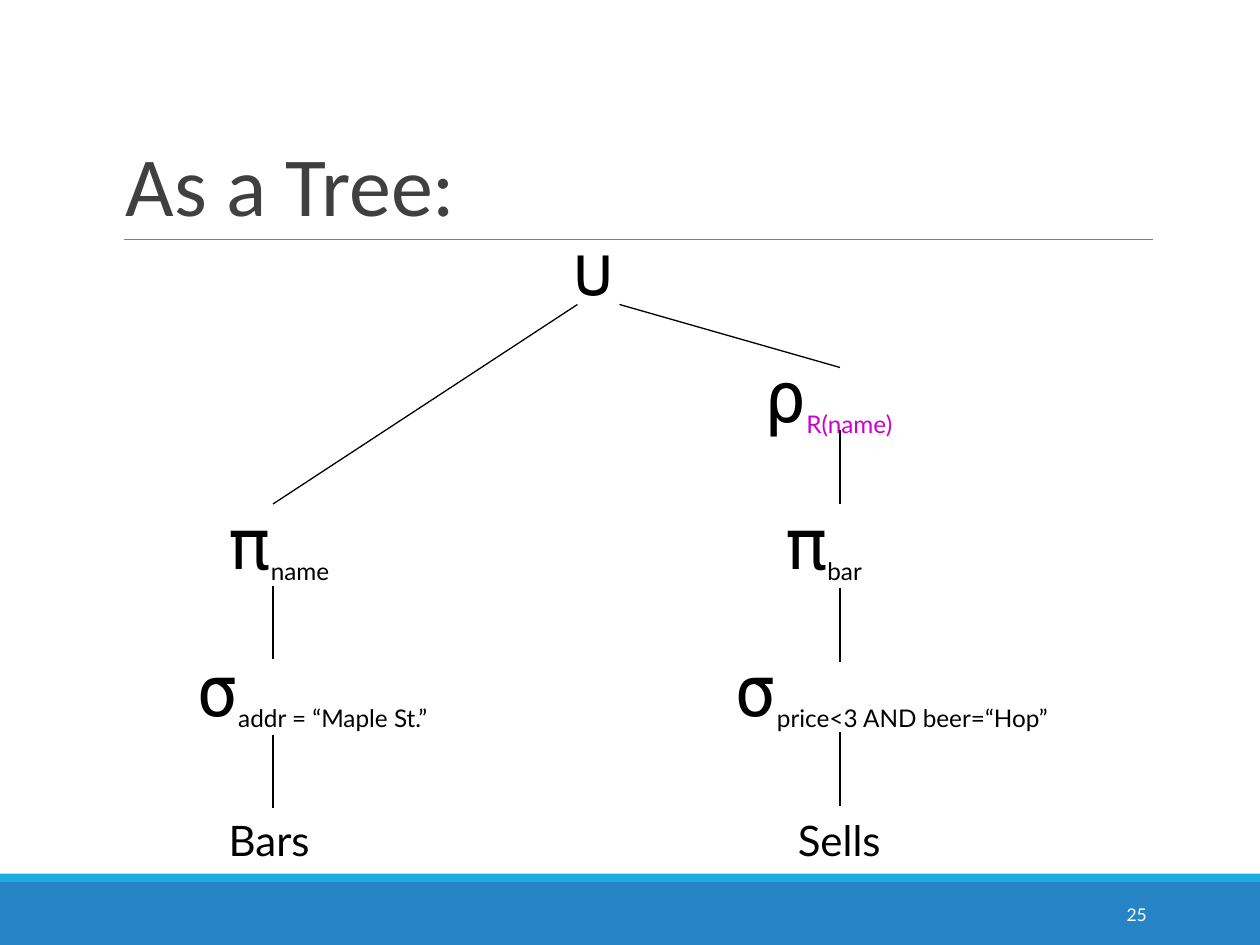
from pptx import Presentation
from pptx.dml.color import RGBColor
from pptx.enum.shapes import MSO_CONNECTOR, MSO_SHAPE
from pptx.enum.text import MSO_ANCHOR as ANCHOR, MSO_AUTO_SIZE as AUTO, PP_ALIGN as ALIGN
from pptx.oxml.ns import qn
from pptx.util import Inches, Pt
from lxml.etree import SubElement

BLACK = RGBColor(0x00, 0x00, 0x00)
WHITE = RGBColor(0xFF, 0xFF, 0xFF)
DARK = RGBColor(0x40, 0x40, 0x40)
GRAY = RGBColor(0x7F, 0x7F, 0x7F)
BLUE = RGBColor(0x26, 0x83, 0xC6)
SKY = RGBColor(0x1C, 0xAD, 0xE4)
MAGENTA = RGBColor(0xCC, 0x00, 0xCC)

COLS, ROWS = 120, 90
LEFT_X, RIGHT_X, EDGE = 26, 80, 7  # branch columns and length of a vertical edge


class TreeSlide:
    """Slide measured on a grid of COLS by ROWS square cells."""
    title_font, body_font, symbol_font = "Calibri", "Lato", "DejaVu Sans Mono"

    def __init__(self, prs):
        self.s = prs.slides.add_slide(prs.slide_layouts[6])
        self.cell = prs.slide_width / COLS

    def grid(self, *cells):
        return [round(c * self.cell) for c in cells]

    def band(self, top, height, color):
        sp = self.s.shapes.add_shape(MSO_SHAPE.RECTANGLE, *self.grid(0, top, COLS, height))
        sp.shadow.inherit = False
        sp.fill.solid()
        sp.fill.fore_color.rgb = color
        sp.line.fill.background()

    def line(self, x1, y1, x2, y2, color=BLACK, width=0.75):
        ln = self.s.shapes.add_connector(MSO_CONNECTOR.STRAIGHT, *self.grid(x1, y1, x2, y2))
        ln.line.color.rgb = color
        ln.line.width = Pt(width)
        SubElement(ln._element.spPr, qn("a:effectLst"))

    def text(self, box, frame, **para):
        """Add a text box with frame and paragraph formats; return its paragraph."""
        tf = self.s.shapes.add_textbox(*self.grid(*box)).text_frame
        for name, value in frame.items():
            setattr(tf, name, value)
        p = tf.paragraphs[0]
        for name, value in para.items():
            setattr(p, name, value)
        return p

    def run(self, p, text, font, size, color=BLACK, subscript=False):
        r = p.add_run()
        r.text = text
        for name, value in {"name": font, "size": Pt(size)}.items():
            setattr(r.font, name, value)
        r.font.color.rgb = color
        if subscript:
            r._r.get_or_add_rPr().set("baseline", "-25000")

    def title(self, text):
        frame = {"word_wrap": True, "vertical_anchor": ANCHOR.BOTTOM}
        p = self.text((10.8, 3.7, 99, 19.1), frame, line_spacing=0.85)
        self.run(p, text, self.title_font, 48, DARK)

    def number(self, text):
        frame = {"word_wrap": True, "vertical_anchor": ANCHOR.MIDDLE}
        p = self.text((97.4, 84.7, 13, 4.8), frame, alignment=ALIGN.RIGHT)
        self.run(p, text, self.body_font, 10, WHITE)

    def node(self, x, y, w, h, symbol="", label="", color=BLACK):
        """Add an operator with a subscript, or a plain relation name."""
        p = self.text((x, y, w, h), {"word_wrap": False, "auto_size": AUTO.SHAPE_TO_FIT_TEXT})
        if symbol:
            self.run(p, symbol, self.symbol_font, 40)
        if label:
            self.run(p, label, self.body_font, 24, color, subscript=bool(symbol))


def main():
    prs = Presentation()
    prs.slide_width, prs.slide_height = Inches(10), Inches(7.5)
    slide = TreeSlide(prs)

    slide.band(84, 6, BLUE)
    slide.band(83.2, 0.8, SKY)
    slide.line(11.8, 22.8, 109.8, 22.8, GRAY, 0.5)
    slide.title("As a Tree:")
    slide.number("25")

    for node in (
        (53.3, 21, 7.2, 17.3, "∪"),
        (71.6, 33, 15.5, 9.4, "ρ", "R(name)", MAGENTA),
        (20.6, 47, 13, 9.4, "π", "name"),
        (73.6, 47, 10.4, 9.4, "π", "bar"),
        (17.5, 61, 25.9, 9.4, "σ", "addr = “Maple St.”"),
        (68.8, 61, 33, 9.4, "σ", "price<3 AND beer=“Hop”"),
        (20.6, 77, 10.8, 6, "", "Bars"),
        (74.8, 77, 10.8, 6, "", "Sells"),
    ):
        slide.node(*node)

    slide.line(55, 29, LEFT_X, 48)
    slide.line(59, 29, RIGHT_X, 35)
    for x, tops in ((LEFT_X, (55.8, 70)), (RIGHT_X, (41, 56, 69.75))):
        for top in tops:
            slide.line(x, top, x, top + EDGE)

    prs.save("out.pptx")


if __name__ == "__main__":
    main()
